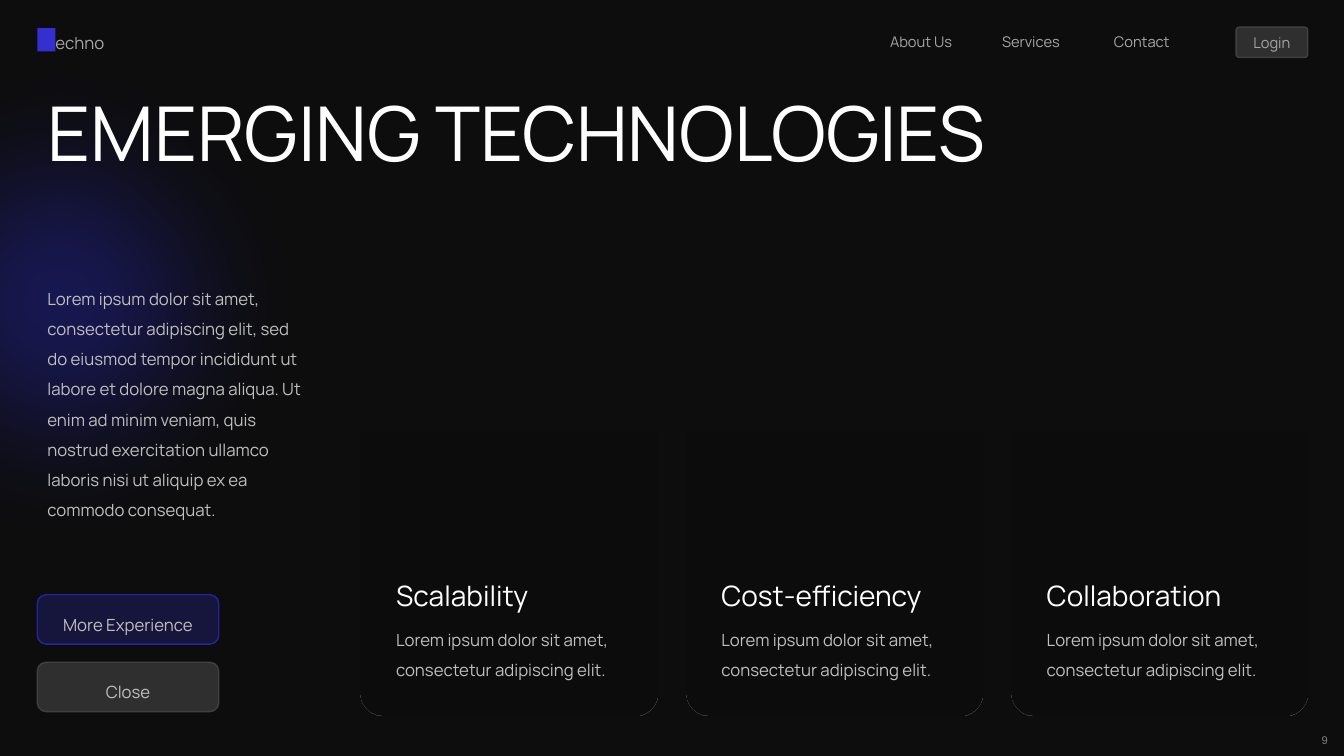
from dataclasses import dataclass

from lxml.etree import SubElement
from pptx import Presentation
from pptx.dml.color import RGBColor
from pptx.enum.shapes import MSO_SHAPE as Shape
from pptx.enum.text import MSO_ANCHOR as Anchor, MSO_AUTO_SIZE as AutoSize, PP_ALIGN as Align
from pptx.oxml import parse_xml
from pptx.oxml.ns import nsdecls, qn
from pptx.util import Inches, Pt


@dataclass(frozen=True)
class Theme:
    """Colours, fonts and type sizes of the deck."""
    background: str = "0D0D0D"
    white: str = "FFFFFF"
    body: str = "BFBFBF"
    navigation: str = "A6A6A6"
    number: str = "7F7F7F"
    accent: str = "332FD0"
    accent_dark: str = "26239C"
    glow: str = "8582E3"
    light: str = "F2F2F2"
    outline: str = "404040"
    font: str = "Manrope"
    number_font: str = "Arial"
    title_size: float = 54
    heading_size: float = 20
    body_size: float = 12
    navigation_size: float = 10.5
    number_size: float = 8


THEME = Theme()
CARD_TEXT = "Lorem ipsum dolor sit amet, consectetur adipiscing elit."
INTRODUCTION = (
    "Lorem ipsum dolor sit amet, consectetur adipiscing elit, sed do eiusmod tempor "
    "incididunt ut labore et dolore magna aliqua. Ut enim ad minim veniam, quis nostrud "
    "exercitation ullamco laboris nisi ut aliquip ex ea commodo consequat."
)


def place(shape, box):
    """Move a shape to a box given in inches."""
    shape.left, shape.top, shape.width, shape.height = map(Inches, box)


def write(shape, text, *, size=THEME.body_size, color=THEME.body, font=THEME.font,
          align=Align.LEFT, anchor=Anchor.TOP, spacing=1.0):
    """Fill a shape with one formatted paragraph."""
    frame = shape.text_frame
    frame.word_wrap = True
    frame.auto_size = AutoSize.NONE
    frame.vertical_anchor = anchor
    frame.margin_left = frame.margin_right = Inches(0.1)
    frame.margin_top = frame.margin_bottom = Inches(0.05)
    paragraph = frame.paragraphs[0]
    paragraph.alignment = align
    paragraph.line_spacing = spacing
    paragraph.space_before = Pt(0)
    run = paragraph.add_run()
    run.text = text
    run.font.size = Pt(size)
    run.font.name = font
    run.font.color.rgb = RGBColor.from_string(color)
    return paragraph


def add_text(slide, box, text, **style):
    """Add a text box."""
    write(slide.shapes.add_textbox(*map(Inches, box)), text, **style)


def add_panel(slide, kind, box, fill, alpha=100, line=None):
    """Add a filled preset shape with an optional outline."""
    shape = slide.shapes.add_shape(kind, *map(Inches, box))
    shape.shadow.inherit = False
    shape.fill.solid()
    shape.fill.fore_color.rgb = RGBColor.from_string(fill)
    if alpha < 100:
        fill_color = shape.element.spPr.find(".//" + qn("a:srgbClr"))
        SubElement(fill_color, qn("a:alpha"), val=str(alpha * 1000))
    if line:
        shape.line.color.rgb = RGBColor.from_string(line)
        shape.line.width = Pt(1)
    else:
        shape.line.fill.background()
    return shape


def add_glow(slide, box, fill, alpha):
    """Add a soft-edged circle behind the text."""
    glow = add_panel(slide, Shape.OVAL, box, fill, alpha)
    effects = glow.element.spPr.find(qn("a:effectLst"))
    SubElement(effects, qn("a:softEdge"), rad=str(int(Pt(100))))
    slide.shapes.title.element.addprevious(glow.element)


def add_button(slide, box, text, fill, alpha, line, corner=0.18, **style):
    """Add a rounded button with a centred label."""
    button = add_panel(slide, Shape.ROUNDED_RECTANGLE, box, fill, alpha, line)
    button.adjustments[0] = corner
    write(button, text, align=Align.CENTER, anchor=Anchor.MIDDLE, **style)


def add_header(slide, box):
    """Add the brand mark, the navigation links and the login button."""
    left, top, width, height = box
    style = {"size": THEME.navigation_size, "color": THEME.navigation}
    add_panel(slide, Shape.RECTANGLE, (left, top + 0.01, 0.18, 0.23), THEME.accent)
    add_text(slide, (left + 0.08, top + 0.01, 0.79, height), "echno", color=THEME.navigation)
    for index, label in enumerate(("About Us", "Services", "Contact")):
        add_text(slide, (left + 8.36 + index * 1.11, top + 0.01, 0.87, height), label, **style)
    add_button(slide, (left + width - 0.71, top, 0.71, height), "Login",
               THEME.light, 15, THEME.outline, corner=0.1, **style)


def add_introduction(slide, box):
    """Fill the title and body placeholders and add the buttons below them."""
    left, top, width, height = box
    title, body = slide.shapes.title, slide.placeholders[1]
    place(title, (left, top, width, 1.01))
    write(title, "EMERGING TECHNOLOGIES", size=THEME.title_size, color=THEME.white)
    place(body, (left, top + 1.91, 2.74, 2.52))
    paragraph = write(body, INTRODUCTION, spacing=1.5)
    properties = paragraph._p.get_or_add_pPr()
    properties.set("marL", "0")
    properties.set("indent", "0")
    SubElement(properties, qn("a:buNone"))
    buttons = (
        ("More Experience", THEME.accent, 24, THEME.accent_dark),
        ("Close", THEME.light, 15, THEME.outline),
    )
    for index, (label, fill, alpha, line) in enumerate(buttons):
        button_top = top + height - 0.49 - (len(buttons) - 1 - index) * 0.67
        add_button(slide, (left, button_top, 1.8, 0.49), label, fill, alpha, line, spacing=1.5)


def add_card(slide, box, heading):
    """Add a card that fades in downwards, with a heading and a text."""
    left, top, width, height = box
    card = add_panel(slide, Shape.ROUND_2_SAME_RECTANGLE, box, THEME.background)
    card.adjustments[0], card.adjustments[1] = 0, 0.08
    solid = card.element.spPr.find(qn("a:solidFill"))
    stops = "".join(
        f'<a:gs pos="{position}"><a:srgbClr val="{THEME.background}">'
        f'<a:alpha val="{alpha}"/></a:srgbClr></a:gs>'
        for position, alpha in ((0, 0), (100000, 80000))
    )
    solid.getparent().replace(solid, parse_xml(
        f'<a:gradFill {nsdecls("a")}><a:gsLst>{stops}</a:gsLst>'
        '<a:lin ang="5400000" scaled="0"/></a:gradFill>'))
    add_text(slide, (left + 0.25, top + 1.41, width - 0.25, 0.44), heading,
             size=THEME.heading_size, color=THEME.white)
    add_text(slide, (left + 0.25, top + 1.82, 2.47, 0.71), CARD_TEXT, spacing=1.5)


def add_cards(slide, box):
    """Spread the cards evenly over the box."""
    left, top, width, height = box
    headings = ("Scalability", "Cost-efficiency", "Collaboration")
    gap = 0.29
    card_width = (width - gap * (len(headings) - 1)) / len(headings)
    for index, heading in enumerate(headings):
        add_card(slide, (left + index * (card_width + gap), top, card_width, height), heading)


def main():
    """Build and save the slide."""
    presentation = Presentation()
    presentation.slide_width, presentation.slide_height = Inches(13.33), Inches(7.5)
    slide = presentation.slides.add_slide(presentation.slide_layouts[1])
    slide.background.fill.solid()
    slide.background.fill.fore_color.rgb = RGBColor.from_string(THEME.background)
    add_glow(slide, (-2.52, -0.12, 6.23, 6.23), THEME.accent_dark, 52)
    add_glow(slide, (4.62, -0.22, 3.58, 3.58), THEME.glow, 37)
    add_header(slide, (0.37, 0.27, 12.6, 0.3))
    add_introduction(slide, (0.37, 0.8, 12.6, 6.26))
    add_cards(slide, (3.58, 4.28, 9.39, 2.82))
    add_text(slide, (12.4, 7.23, 0.87, 0.24), "9", size=THEME.number_size,
             color=THEME.number, font=THEME.number_font, align=Align.RIGHT)
    presentation.save("out.pptx")


if __name__ == "__main__":
    main()
